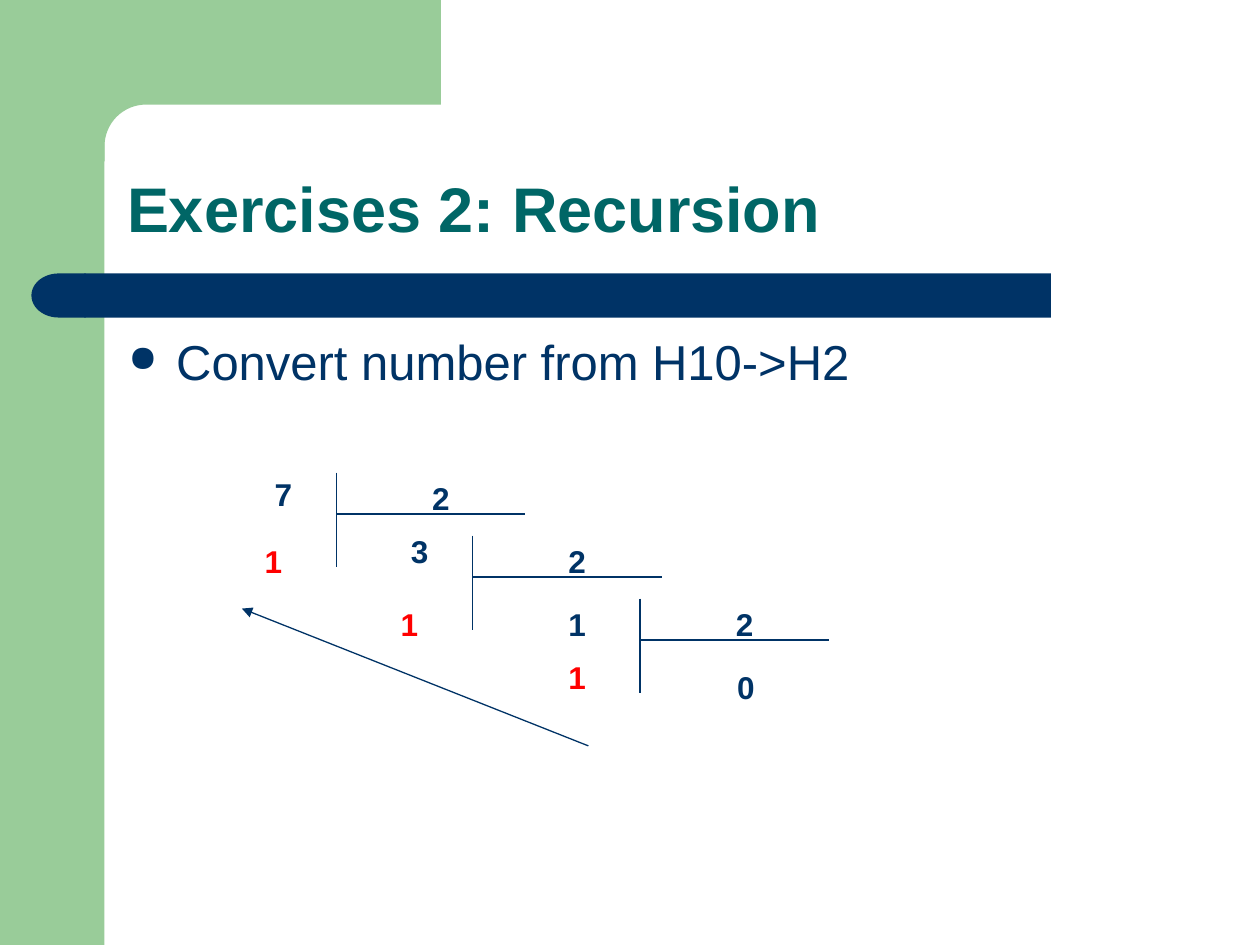
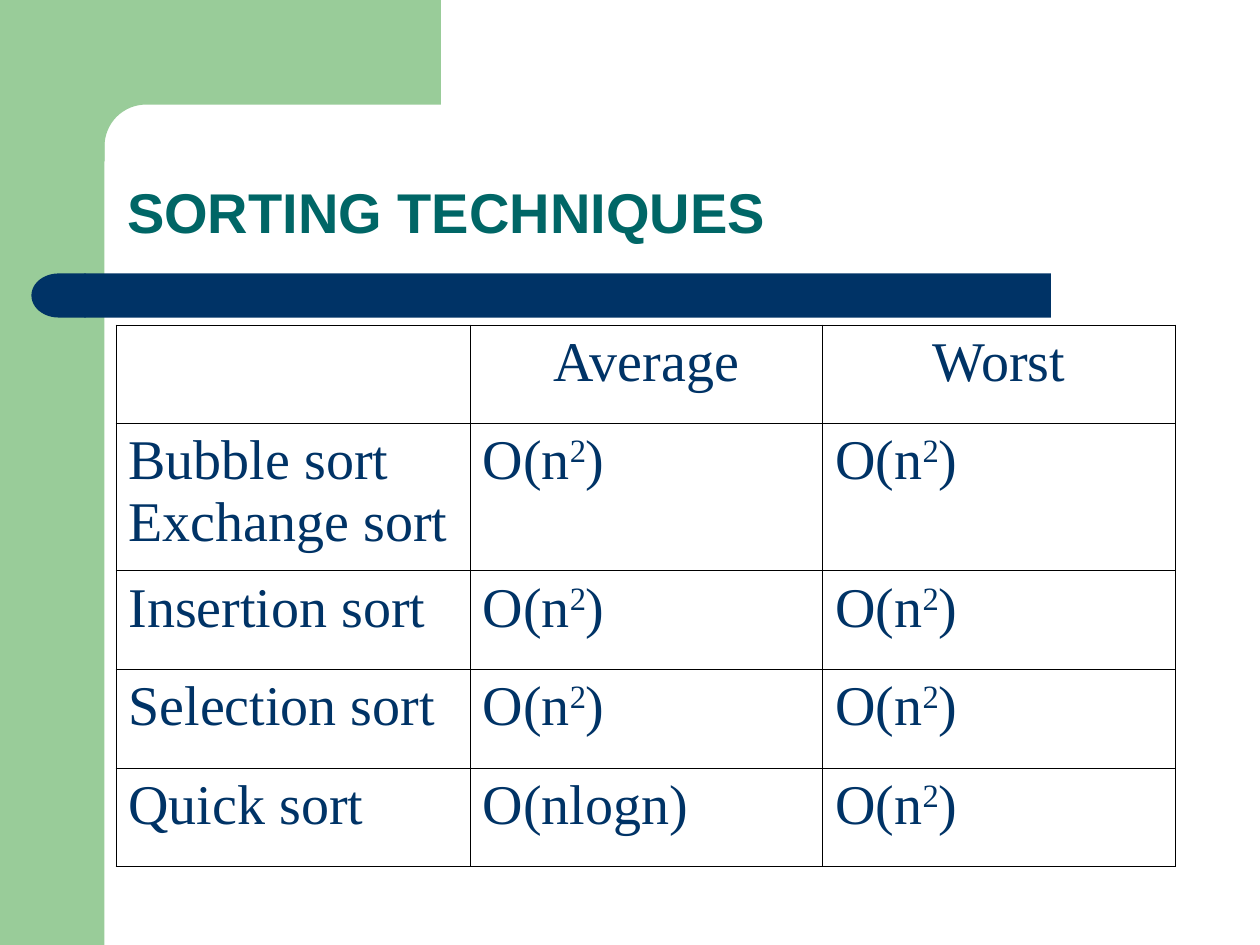
from math import cos, pi, sin

from lxml.etree import SubElement
from pptx import Presentation
from pptx.dml.color import RGBColor
from pptx.enum.shapes import MSO_CONNECTOR, MSO_SHAPE
from pptx.enum.text import MSO_ANCHOR, PP_ALIGN
from pptx.oxml.ns import qn
from pptx.util import Inches, Pt

NAVY = RGBColor(0x00, 0x33, 0x66)
TEAL = RGBColor(0x00, 0x66, 0x66)
GREEN = RGBColor(0x99, 0xCC, 0x99)
RED = RGBColor(0xFF, 0x00, 0x00)
BODY_LEFT, BODY_TOP, BODY_WIDTH = 0.92, 2.58, 8.41

presentation = Presentation()
presentation.slide_width = Inches(10)
presentation.slide_height = Inches(7.5)


def add_text(slide, box, text, size, color, bold=False, anchor=MSO_ANCHOR.TOP):
    """Add a one-paragraph text box and return its paragraph."""
    frame = slide.shapes.add_textbox(*map(Inches, box)).text_frame
    frame.word_wrap = True
    frame.vertical_anchor = anchor
    paragraph = frame.paragraphs[0]
    paragraph.text = text
    font = paragraph.font
    font.name, font.size, font.bold = "Arial", Pt(size), bold
    font.color.rgb = color
    return paragraph


def add_framed_slide(title, title_size):
    """Add a slide with the green frame, the navy bar and a title."""
    slide = presentation.slides.add_slide(presentation.slide_layouts[6])
    shapes = slide.shapes
    side_band = shapes.add_shape(MSO_SHAPE.RECTANGLE, 0, 0, Inches(0.83), Inches(7.5))

    # Top band whose inner corner is a quarter circle
    center, radius, steps = 1.16, 0.33, 16
    angles = [pi / 2 * step / steps for step in range(steps + 1)]
    corner = [(center - radius * sin(a), center - radius * cos(a)) for a in angles]
    outline = [(3.5, 0), (3.5, 0.83), *corner, (0.83, 1.28), (0.5, 1.28), (0.5, 0)]
    points = [(Inches(x), Inches(y)) for x, y in outline]
    builder = shapes.build_freeform(*points[0], scale=1.0)
    builder.add_line_segments(points[1:], close=True)
    top_band = builder.convert_to_shape()

    bar = shapes.add_shape(MSO_SHAPE.ROUNDED_RECTANGLE, Inches(0.67), Inches(2.17),
                           Inches(7.67), Inches(0.35))
    bar.adjustments[0] = 0
    bar_end = shapes.add_shape(MSO_SHAPE.FLOWCHART_DELAY, Inches(0.25), Inches(2.17),
                               Inches(0.43), Inches(0.35))
    bar_end.element.spPr.get_or_add_xfrm().set("flipH", "1")

    for shape, color in ((side_band, GREEN), (top_band, GREEN), (bar, NAVY), (bar_end, NAVY)):
        shape.shadow.inherit = False
        shape.fill.solid()
        shape.fill.fore_color.rgb = color
        shape.line.fill.background()

    paragraph = add_text(slide, (0.91, 0.91, 8.51, 1.09), title, title_size, TEAL,
                         bold=True, anchor=MSO_ANCHOR.BOTTOM)
    paragraph.line_spacing = 0.9
    return slide


# Slide 1: repeated division by 2
slide = add_framed_slide("Exercises 2: Recursion", 36)
paragraph = add_text(slide, (BODY_LEFT, BODY_TOP, BODY_WIDTH, 4.07),
                     "Convert number from H10->H2", 28, NAVY)
properties = paragraph._p.get_or_add_pPr()
properties.set("marL", str(Inches(0.38)))
properties.set("indent", str(-Inches(0.38)))
bullet_color = SubElement(properties, qn("a:buClr"))
SubElement(bullet_color, qn("a:srgbClr"), val=str(NAVY))
SubElement(properties, qn("a:buSzPct"), val="75000")
SubElement(properties, qn("a:buChar"), char="●")
# Bullet elements must come before the default run properties
properties.append(properties.find(qn("a:defRPr")))

division_corners = [(2.67, 3.75), (3.75, 4.25), (5.08, 4.75)]
numbers = [
    ("7", 1.75, 3.72, NAVY), ("3", 2.83, 4.17, NAVY),
    ("1", 4.08, 4.75, NAVY), ("0", 5.42, 5.25, NAVY),
    ("1", 1.67, 4.25, RED), ("1", 2.75, 4.75, RED), ("1", 4.08, 5.17, RED),
]
lines = []
for x, y in division_corners:
    lines.append((x, y, x, y + 0.75))
    lines.append((x, y + 0.33, x + 1.5, y + 0.33))
    numbers.append(("2", x + 0.33, y, NAVY))
reading_order = (4.67, 5.92, 1.92, 4.83)

for ends in [*lines, reading_order]:
    connector = slide.shapes.add_connector(MSO_CONNECTOR.STRAIGHT, *map(Inches, ends))
    connector.line.color.rgb = NAVY
    connector.line.width = Pt(0.75)
    if ends == reading_order:
        SubElement(connector.line._get_or_add_ln(), qn("a:tailEnd"), type="triangle")
    SubElement(connector._element.spPr, qn("a:effectLst"))

for number, x, y, color in numbers:
    paragraph = add_text(slide, (x, y, 1, 0.4), number, 18, color,
                         bold=True, anchor=MSO_ANCHOR.MIDDLE)
    paragraph.alignment = PP_ALIGN.CENTER

# Slide 2: complexity table, where ^ marks a superscript digit
slide = add_framed_slide("SORTING TECHNIQUES", 32)
rows = [
    ("", "Average", "Worst"),
    ("Bubble sort\nExchange sort", "O(n^2)", "O(n^2)"),
    ("Insertion sort", "O(n^2)", "O(n^2)"),
    ("Selection sort", "O(n^2)", "O(n^2)"),
    ("Quick sort", "O(nlogn)", "O(n^2)"),
]
row_heights = [0.78, 1.17, 0.78, 0.79, 0.78]
table = slide.shapes.add_table(len(rows), 3, Inches(BODY_LEFT), Inches(BODY_TOP),
                               Inches(BODY_WIDTH), Inches(sum(row_heights))).table
table.first_row = table.horz_banding = False
for column, width in zip(table.columns, (2.81, 2.8, 2.8)):
    column.width = Inches(width)

for row_index, (texts, height) in enumerate(zip(rows, row_heights)):
    table.rows[row_index].height = Inches(height)
    for column_index, text in enumerate(texts):
        cell = table.cell(row_index, column_index)
        cell.margin_left = cell.margin_right = Inches(0.1)
        base, caret, exponent = text.partition("^")
        cell.text = base
        if caret:
            paragraph = cell.text_frame.paragraphs[0]
            superscript = paragraph.add_run()
            superscript.text = exponent[0]
            superscript.font._element.set("baseline", "30000")
            paragraph.add_run().text = exponent[1:]
        for paragraph in cell.text_frame.paragraphs:
            paragraph.alignment = PP_ALIGN.LEFT if row_index else PP_ALIGN.CENTER
            paragraph.font.name = "Times New Roman"
            paragraph.font.size = Pt(32)
            paragraph.font.color.rgb = NAVY
        cell_properties = cell._tc.get_or_add_tcPr()
        for side in ("a:lnL", "a:lnR", "a:lnT", "a:lnB"):
            border = SubElement(cell_properties, qn(side), w=str(Pt(0.45)))
            border_fill = SubElement(border, qn("a:solidFill"))
            SubElement(border_fill, qn("a:srgbClr"), val="000000")
        cell.fill.background()

presentation.save("out.pptx")
